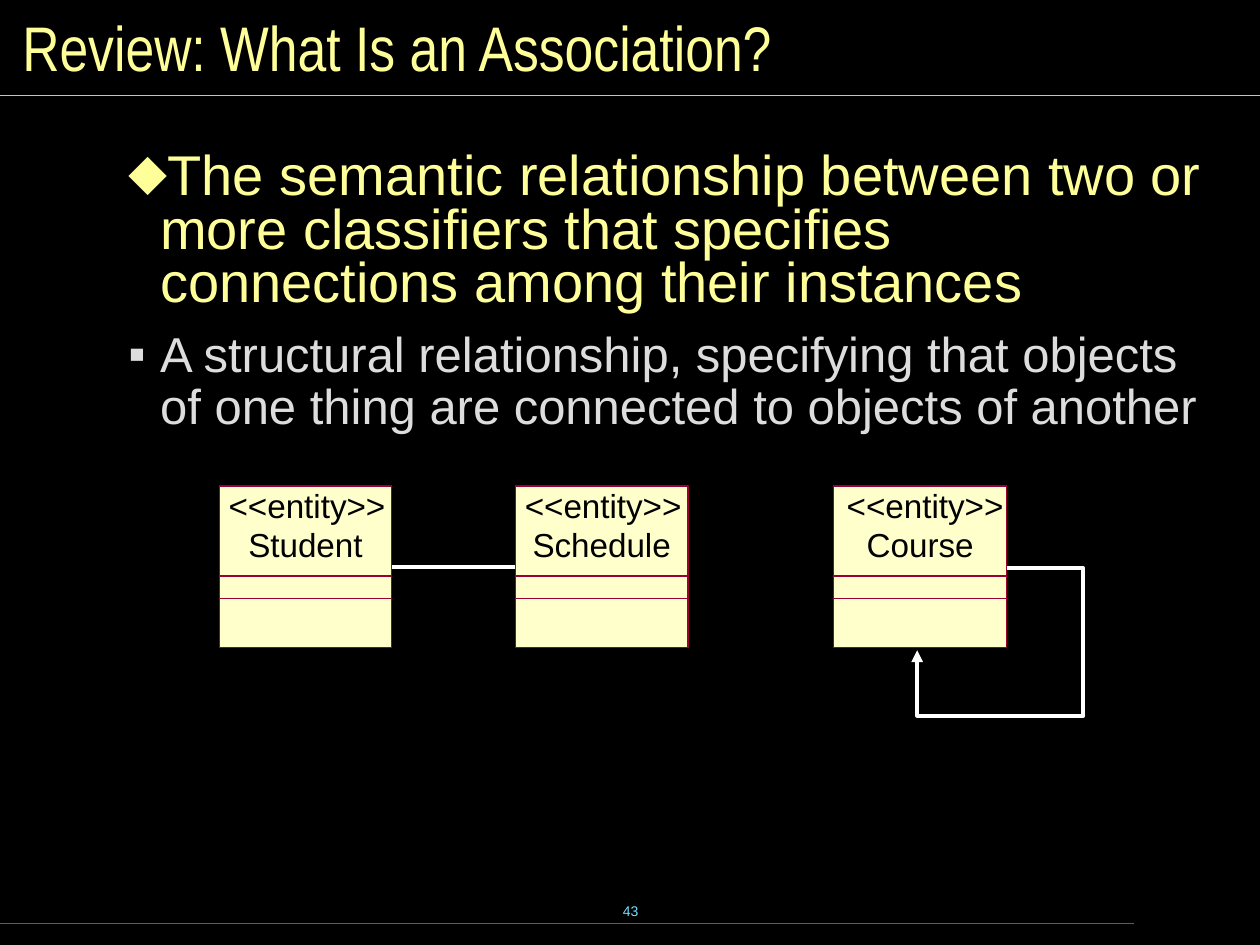
from lxml.etree import SubElement
from pptx import Presentation
from pptx.dml.color import RGBColor
from pptx.enum.shapes import MSO_CONNECTOR as Connector, MSO_SHAPE as Shape
from pptx.enum.text import MSO_ANCHOR as Anchor, PP_ALIGN as Align
from pptx.oxml.ns import qn
from pptx.util import Cm, Pt

COLORS = {
    "background": "000000",
    "title": "FFFF99",
    "detail": "DDDDDD",
    "rule": "73E1FF",
    "footer_rule": "007E9F",
    "link": "FFFFFF",
    "class_fill": "FFFFCC",
    "class_line": "990033",
    "class_text": "000000",
}
CLASS_TOP, CLASS_WIDTH, CLASS_BOTTOM = 9.8, 3.48, 13.05
COMPARTMENT_TOPS = (11.61, 12.06)
CLASSES = [  # left edge, name, offset of the stereotype
    (16.81, "Course", 0.25),
    (4.42, "Student", 0.18),
    (10.39, "Schedule", 0.18),
]
POINTS = [  # text, bullet, colour, paragraph format
    ("The semantic relationship between two or more classifiers that specifies "
     "connections among their instances",
     "⬥", "title", {"size": 32, "line_spacing": 0.8}),
    ("A structural relationship, specifying that objects of one thing are "
     "connected to objects of another",
     "▪", "detail", {"size": 28, "line_spacing": 0.87, "space_before": Pt(10.5)}),
]


def rgb(name):
    return RGBColor.from_string(COLORS[name])


def set_all(target, **values):
    for name, value in values.items():
        setattr(target, name, value)


def set_line(shape, color, width):
    shape.line.color.rgb = rgb(color)
    shape.line.width = Pt(width)


def add_box(page, left, top, width, height, inset=(0, 0), **frame_format):
    box = page.shapes.add_textbox(Cm(left), Cm(top), Cm(width), Cm(height))
    across, down = (Cm(value) for value in inset)
    set_all(box.text_frame, margin_left=across, margin_right=across,
            margin_top=down, margin_bottom=down, **frame_format)
    return box.text_frame


def add_span(para, text, size, color, font="Arial"):
    span = para.add_run()
    span.text = text
    set_all(span.font, size=Pt(size), name=font)
    span.font.color.rgb = rgb(color)


def add_label(page, place, text, size, color, font="Arial", align=Align.CENTER,
              **box_format):
    frame = add_box(page, *place, **box_format)
    para = frame.paragraphs[0]
    para.alignment = align
    add_span(para, text, size, color, font)


def add_bullet(para, symbol, color):
    """Give the paragraph a hanging indent and a coloured bullet."""
    props = para._p.get_or_add_pPr()
    props.set("marL", str(Cm(1.91)))
    props.set("indent", str(-Cm(0.64)))
    fill = SubElement(props, qn("a:buClr"))
    SubElement(fill, qn("a:srgbClr"), val=COLORS[color])
    SubElement(props, qn("a:buFont"), typeface="Arial")
    SubElement(props, qn("a:buChar"), char=symbol)


def add_points(page):
    frame = add_box(page, 1.02, 2.92, 23.6, 7.04, inset=(0.3, 0.15), word_wrap=True)
    for index, (text, symbol, color, para_format) in enumerate(POINTS):
        para = frame.add_paragraph() if index else frame.paragraphs[0]
        add_bullet(para, symbol, color)
        for name, value in para_format.items():
            if name != "size":
                setattr(para, name, value)
        add_span(para, text, para_format["size"], color)


def add_rule(page, start, end, color, width):
    ends = [Cm(value) for value in (*start, *end)]
    rule = page.shapes.add_connector(Connector.STRAIGHT, *ends)
    set_line(rule, color, width)
    SubElement(rule._element.spPr, qn("a:effectLst"))


def add_self_link(page):
    """Draw the association that leaves Course and returns to it."""
    start, *rest = [(Cm(x), Cm(y)) for x, y in (
        (20.17, 11.46), (21.84, 11.46), (21.84, 14.43), (18.49, 14.43), (18.49, 13.11))]
    builder = page.shapes.build_freeform(*start)
    builder.add_line_segments(rest, close=False)
    link = builder.convert_to_shape()
    link.shadow.inherit = False
    link.fill.background()
    set_line(link, "link", 2.25)
    SubElement(link.line._get_or_add_ln(), qn("a:tailEnd"), type="triangle")


def add_compartment(page, left, top, filled=False):
    """Draw a class rectangle from top down to the common bottom edge."""
    rect = page.shapes.add_shape(Shape.RECTANGLE, Cm(left), Cm(top),
                                 Cm(CLASS_WIDTH), Cm(CLASS_BOTTOM - top))
    rect.shadow.inherit = False
    if filled:
        rect.fill.solid()
        rect.fill.fore_color.rgb = rgb("class_fill")
    else:
        rect.fill.background()
    set_line(rect, "class_line", 0)


def add_class(page, left, name, offset):
    add_compartment(page, left, CLASS_TOP, filled=True)
    for top in COMPARTMENT_TOPS:
        add_compartment(page, left, top)
    add_label(page, (left, 10.57, CLASS_WIDTH, 0.81), name, 19, "class_text")
    add_label(page, (left + offset, 9.78, 3.18, 0.81), "<<entity>>", 19, "class_text",
              word_wrap=False)


def main():
    deck = Presentation()
    set_all(deck, slide_width=Cm(25.4), slide_height=Cm(19.05))
    page = deck.slides.add_slide(deck.slide_layouts[6])
    page.background.fill.solid()
    page.background.fill.fore_color.rgb = rgb("background")

    add_label(page, (8.69, 17.73, 8.05, 1.27), "43", 8, "rule",
              inset=(0.25, 0.13), vertical_anchor=Anchor.MIDDLE)
    add_rule(page, (0, 18.62), (22.86, 18.62), "footer_rule", 0.75)
    add_rule(page, (0, 1.93), (25.4, 1.93), "rule", 0.75)
    add_label(page, (0.2, 0.2, 25, 1.47), "Review: What Is an Association?", 36, "title",
              font="Arial Narrow", align=Align.LEFT, inset=(0.25, 0.13),
              vertical_anchor=Anchor.MIDDLE, word_wrap=True)
    add_points(page)
    add_self_link(page)
    add_rule(page, (6.81, 11.43), (10.97, 11.43), "link", 2.25)
    for left, name, offset in CLASSES:
        add_class(page, left, name, offset)
    deck.save("out.pptx")


if __name__ == "__main__":
    main()
